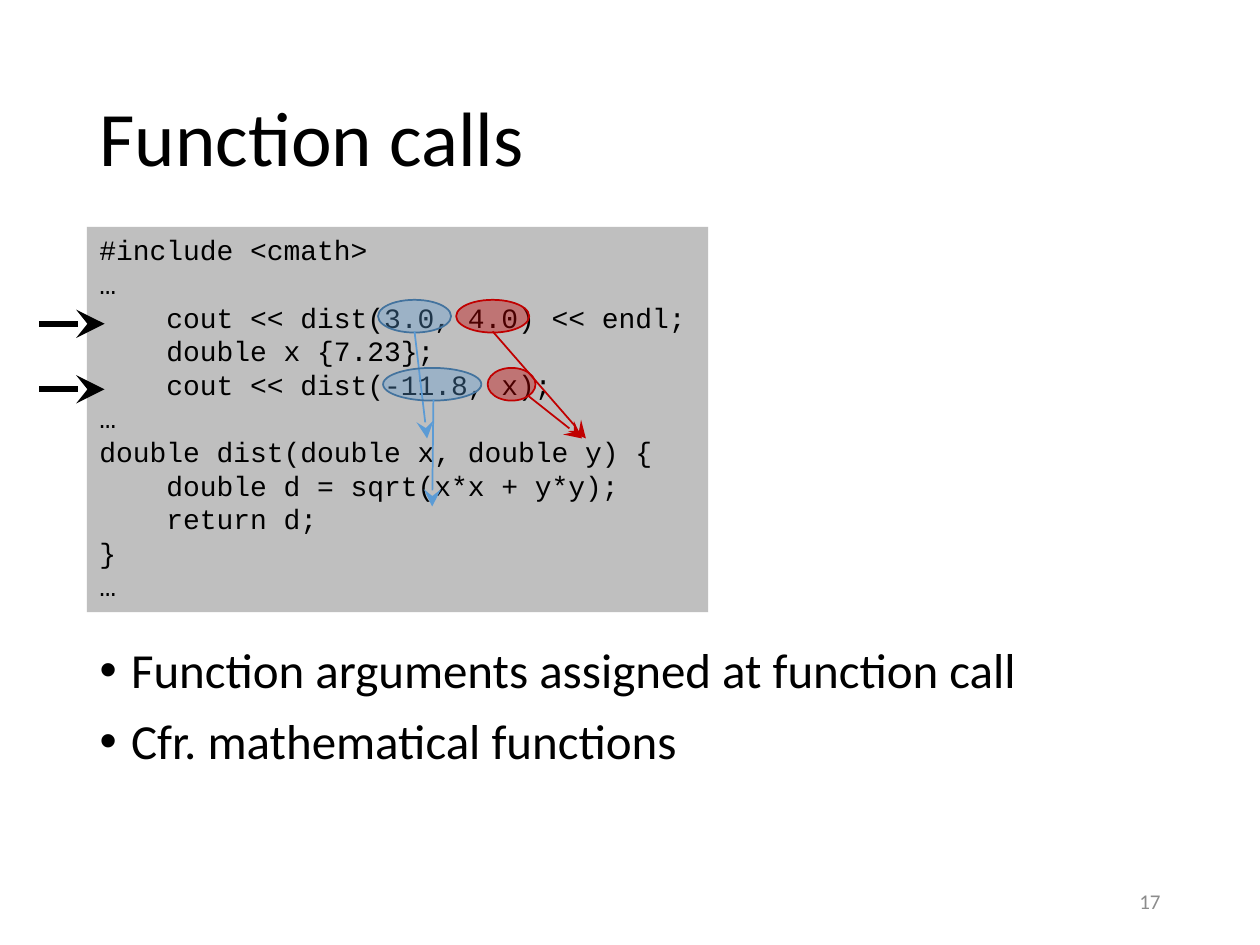
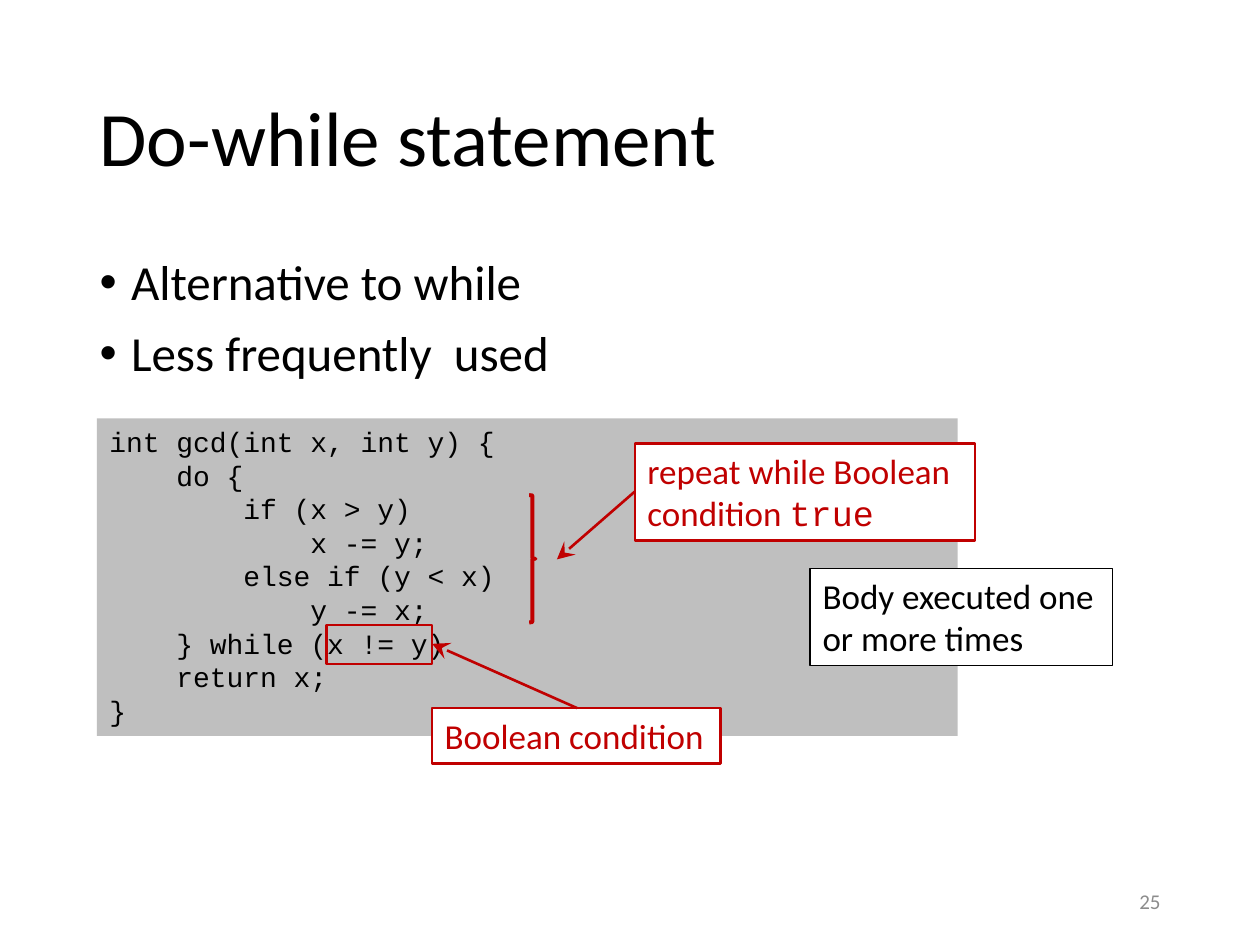
from lxml import etree
from pptx import Presentation
from pptx.dml.color import RGBColor
from pptx.enum import shapes, text
from pptx.oxml.ns import qn
from pptx.util import Emu, Inches, Pt

# Shared look: a grid of 100 columns by 75 rows covers the slide
COLUMNS, ROWS = 100, 75
WIDTH, HEIGHT = Inches(10), Inches(7.5)
BLACK, WHITE, CODE_GREY, NUMBER_GREY = "000000", "FFFFFF", "BFBFBF", "8C8C8C"
RED, BLUE, DARK_BLUE = "C00000", "5B9BD5", "43739E"
SANS, MONO = "Calibri", "Courier New"
TITLE_AREA = (6.9, 4, 86.2, 14.5)
NUMBER_AREA = (70.6, 69.5, 22.5, 4)
TITLE_STYLE = {"size": 44, "name": SANS, "color": BLACK}
LIST_STYLE = {"size": 28, "name": SANS, "color": BLACK}
CODE_STYLE = {"size": 16, "name": MONO, "color": BLACK}
NUMBER_STYLE = {"size": 12, "name": SANS, "color": NUMBER_GREY}
NOTE_STYLE = {"size": 20, "name": SANS}
PLAIN_FRAME = {"word_wrap": True, "auto_size": text.MSO_AUTO_SIZE.NONE}

CALLS_CODE = """#include <cmath>
…
    cout << dist(3.0, 4.0) << endl;
    double x {7.23};
    cout << dist(-11.8, x);
…
double dist(double x, double y) {
    double d = sqrt(x*x + y*y);
    return d;
}
…"""

GCD_CODE = """int gcd(int x, int y) {
    do {
        if (x > y)
            x -= y;
        else if (y < x)
            y -= x;
    } while (x != y)
    return x;
}"""


def color(hex_string):
    return RGBColor.from_string(hex_string)


def col(n):
    return Emu(round(WIDTH * n / COLUMNS))


def row(n):
    return Emu(round(HEIGHT * n / ROWS))


def place(area):
    left, top, width, height = area
    return col(left), row(top), col(width), row(height)


def apply(target, **values):
    for attribute, value in values.items():
        setattr(target, attribute, value)


def style_font(font, size, name, color_hex):
    apply(font, size=Pt(size), name=name)
    font.color.rgb = color(color_hex)


def write(frame, lines, style, anchor=text.MSO_ANCHOR.TOP,
          align=text.PP_ALIGN.LEFT):
    """Fill a text frame; each line is a string or a list of (text, font)."""
    apply(frame, vertical_anchor=anchor, **PLAIN_FRAME)
    for i, line in enumerate(lines):
        paragraph = frame.add_paragraph() if i else frame.paragraphs[0]
        paragraph.alignment = align
        pieces = [(line, style["name"])] if isinstance(line, str) else line
        for words, font_name in pieces:
            run = paragraph.add_run()
            run.text = words
            style_font(run.font, style["size"], font_name, style["color"])


# Title, list and slide number
def add_page(deck, title, points, list_area, number):
    slide = deck.slides.add_slide(deck.slide_layouts[1])
    heading, body = slide.placeholders
    for holder, area in ((heading, TITLE_AREA), (body, list_area)):
        left, top, width, height = place(area)
        apply(holder, left=left, top=top, width=width, height=height)

    write(heading.text_frame, [title], TITLE_STYLE, text.MSO_ANCHOR.MIDDLE)
    heading.text_frame.paragraphs[0].line_spacing = 0.9

    write(body.text_frame, points, LIST_STYLE)
    for i, point in enumerate(body.text_frame.paragraphs):
        properties = point._p.get_or_add_pPr()
        properties.set("marL", str(Inches(0.25)))
        properties.set("indent", str(-Inches(0.25)))
        etree.SubElement(properties, qn("a:buFont")).set("typeface", "Arial")
        etree.SubElement(properties, qn("a:buChar")).set("char", "•")
        apply(point, line_spacing=0.9, space_before=Pt(10 if i else 0))

    number_box = slide.shapes.add_textbox(*place(NUMBER_AREA))
    write(number_box.text_frame, [number], NUMBER_STYLE,
          text.MSO_ANCHOR.MIDDLE, text.PP_ALIGN.RIGHT)
    return slide


# Outlined or filled preset shape
def add_figure(slide, kind, area, fill=None, line=None, weight=1, opacity=100):
    figure = slide.shapes.add_shape(kind, *place(area))
    figure.shadow.inherit = False
    if fill:
        figure.fill.solid()
        figure.fill.fore_color.rgb = color(fill)
        if opacity < 100:
            tint = figure.element.spPr.find(qn("a:solidFill"))[0]
            etree.SubElement(tint, qn("a:alpha")).set("val", str(opacity * 1000))
    else:
        figure.fill.background()
    if line:
        figure.line.color.rgb = color(line)
        figure.line.width = Pt(weight)
    else:
        figure.line.fill.background()
    return figure


def add_code(slide, area, code):
    panel = add_figure(slide, shapes.MSO_SHAPE.RECTANGLE, area, CODE_GREY)
    write(panel.text_frame, code.splitlines(), CODE_STYLE)


def add_note(slide, area, line, ink, weight):
    note = add_figure(slide, shapes.MSO_SHAPE.RECTANGLE, area, WHITE, ink, weight)
    write(note.text_frame, [line], {**NOTE_STYLE, "color": ink})


def add_arrow(slide, start, end, ink, weight):
    arrow = slide.shapes.add_connector(
        shapes.MSO_CONNECTOR.STRAIGHT,
        col(start[0]), row(start[1]), col(end[0]), row(end[1]))
    arrow.line.color.rgb = color(ink)
    arrow.line.width = Pt(weight)
    properties = arrow.element.spPr
    head = etree.SubElement(properties.find(qn("a:ln")), qn("a:tailEnd"))
    for key, value in {"type": "stealth", "w": "lg", "len": "lg"}.items():
        head.set(key, value)
    etree.SubElement(properties, qn("a:effectLst"))


# One call: pointer in the margin, and each argument sent to its parameter
def add_call(slide, top, pointer_row, arguments):
    add_arrow(slide, (3.1, pointer_row), (8.3, pointer_row), BLACK, 3.25)
    for left, width, ink, outline, opacity, start, end in arguments:
        add_figure(slide, shapes.MSO_SHAPE.OVAL, (left, top, width, 2.6),
                   ink, outline, 1, opacity)
        add_arrow(slide, start, end, ink, 1)


def build_function_calls(deck):
    slide = add_page(deck, "Function calls",
                     ["Function arguments assigned at function call",
                      "Cfr. mathematical functions"],
                     (6.9, 50.8, 86.2, 16.7), "17")
    add_code(slide, (6.9, 18, 49.3, 30.6), CALLS_CODE)
    first, second = (BLUE, DARK_BLUE, 35), (RED, RED, 39)
    add_call(slide, 23.8, 25.7, [
        (30, 5.8, *first, (32.9, 26.3), (33.9, 34.8)),
        (36.2, 5.8, *second, (39.1, 26.3), (46.5, 34.8))])
    add_call(slide, 29.2, 30.9, [
        (30.4, 7.8, *first, (34.4, 31.7), (34.3, 40.2)),
        (38.7, 3.8, *second, (41.9, 31.4), (46.2, 34.8))])


def build_do_while(deck):
    slide = add_page(deck, "Do-while statement",
                     ["Alternative to while", "Less frequently  used"],
                     (6.9, 20, 86.2, 47.6), "25")
    add_code(slide, (7.7, 33.2, 68.3, 25.2), GCD_CODE)

    # Loop condition
    add_note(slide, (34.3, 56.2, 22.9, 4.4), "Boolean condition", RED, 1.5)
    add_figure(slide, shapes.MSO_SHAPE.RECTANGLE, (25.9, 49.6, 8.4, 3.1),
               line=RED, weight=1.5)
    add_arrow(slide, (45.8, 56.2), (34.3, 51.1), RED, 1.5)

    # Loop body
    add_figure(slide, shapes.MSO_SHAPE.RIGHT_BRACE, (42, 39.3, 0.5, 10.1),
               line=RED, weight=2.25)
    add_note(slide, (50.4, 35.2, 27, 7.7),
             [("repeat while Boolean condition ", SANS), ("true", MONO)], RED, 1.5)
    add_arrow(slide, (50.4, 39), (44.2, 44.4), RED, 1.5)
    add_note(slide, (64.3, 45.1, 24, 7.7), "Body executed one or more times",
             BLACK, 0.75)


def main():
    deck = Presentation()
    apply(deck, slide_width=WIDTH, slide_height=HEIGHT)
    build_function_calls(deck)
    build_do_while(deck)
    deck.save("out.pptx")


if __name__ == "__main__":
    main()
